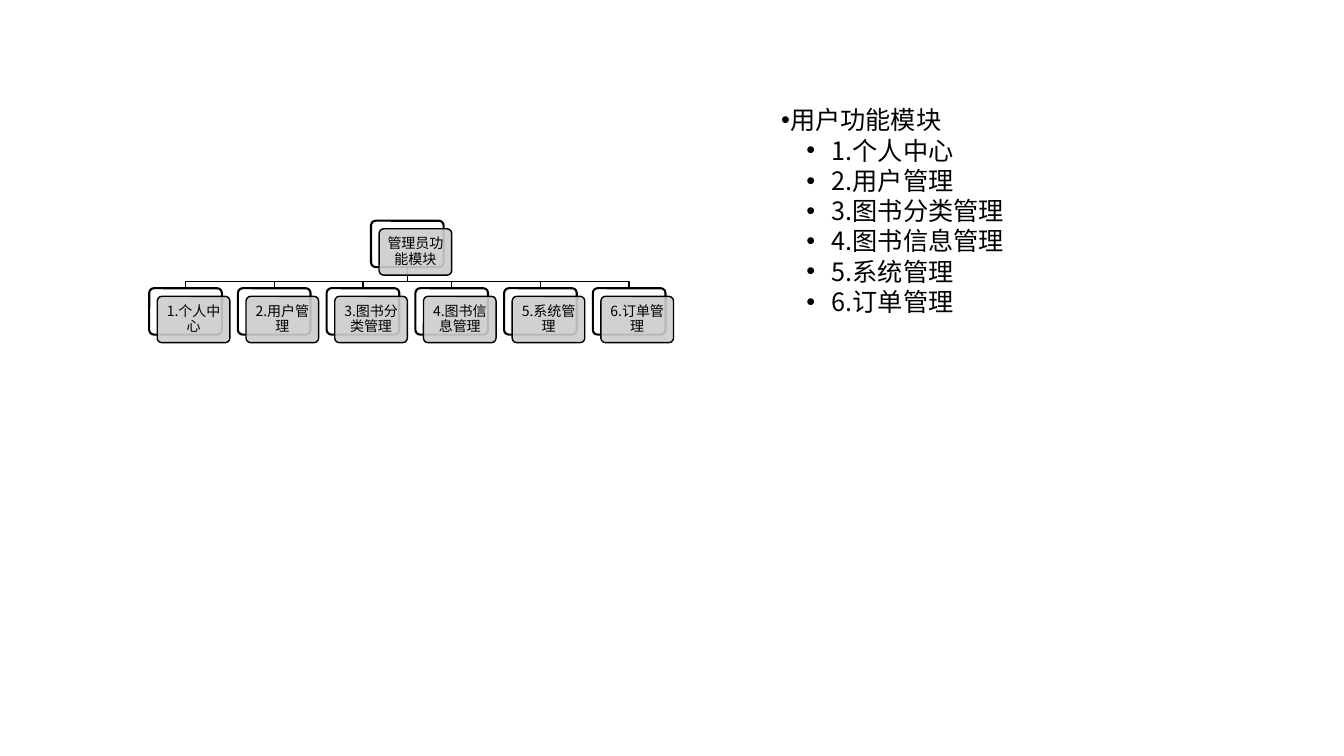
"""Build a slide with the administrator module chart and the user module list."""
import pptx
import pptx.dml.color
import pptx.enum.shapes
import pptx.enum.text
import pptx.oxml
import pptx.oxml.ns
import pptx.util

CHART_TITLE = "管理员功能模块"
LIST_TITLE = "用户功能模块"
MODULES = ["1.个人中心", "2.用户管理", "3.图书分类管理",
           "4.图书信息管理", "5.系统管理", "6.订单管理"]

FONT = "Noto Sans CJK SC"
BLACK = pptx.dml.color.RGBColor(0, 0, 0)
WHITE = pptx.dml.color.RGBColor(255, 255, 255)
GRAY = pptx.dml.color.RGBColor(204, 204, 204)

SCALE = 9144
SLIDE_SIZE = (1333, 750)
CARD_WIDTH, CARD_HEIGHT, CARD_OFFSET = 72, 46, 8
ROOT_LEFT, ROOT_TOP = 368, 219
ROW_LEFT, ROW_TOP, ROW_STEP = 148, 286, 88
BRANCH_TOP = 279
LIST_BOX = (765, 99, 518, 423)
LIST_INDENT, BULLET_HANG = 50, 25
CARD_MARGIN = 5


def px(length):
    return pptx.util.Emu(length * SCALE)


def add_xml(parent, tag, **attributes):
    element = pptx.oxml.parse_xml(f"<a:{tag} {pptx.oxml.ns.nsdecls('a')}/>")
    for name, value in attributes.items():
        element.set(name, str(value))
    parent.append(element)


def write(para, text, size):
    span = para.add_run()
    span.text = text
    formats = {"size": pptx.util.Pt(size), "name": FONT}
    for name, value in formats.items():
        setattr(span.font, name, value)
    span.font.color.rgb = BLACK
    add_xml(span.font._element, "ea", typeface=FONT)


def set_line(shape, width):
    shape.shadow.inherit = False
    shape.line.color.rgb = BLACK
    shape.line.width = pptx.util.Pt(width)


def add_panel(page, left, top, color, line_width):
    panel = page.shapes.add_shape(
        pptx.enum.shapes.MSO_SHAPE.ROUNDED_RECTANGLE,
        px(left), px(top), px(CARD_WIDTH), px(CARD_HEIGHT))
    panel.adjustments[0] = 0.1
    panel.fill.solid()
    panel.fill.fore_color.rgb = color
    set_line(panel, line_width)
    return panel


def add_card(page, left, top, text):
    add_panel(page, left, top, WHITE, 1.5)
    front = add_panel(page, left + CARD_OFFSET, top + CARD_OFFSET, GRAY, 1)
    tint = front.fill._xPr.find(".//" + pptx.oxml.ns.qn("a:srgbClr"))
    add_xml(tint, "alpha", val=90000)
    frame = front.text_frame
    formats = {"word_wrap": True,
               "vertical_anchor": pptx.enum.text.MSO_ANCHOR.MIDDLE}
    formats.update((f"margin_{side}", px(CARD_MARGIN))
                   for side in ("left", "top", "right", "bottom"))
    for name, value in formats.items():
        setattr(frame, name, value)
    para = frame.paragraphs[0]
    para.alignment = pptx.enum.text.PP_ALIGN.CENTER
    para.line_spacing = 0.9
    write(para, text, 10)


def add_branch(page, card_left):
    start = ROOT_LEFT + CARD_WIDTH // 2
    end = card_left + CARD_WIDTH // 2
    builder = page.shapes.build_freeform(start, ROOT_TOP + CARD_HEIGHT, scale=SCALE)
    builder.add_line_segments(
        [(start, BRANCH_TOP), (end, BRANCH_TOP), (end, ROW_TOP)], close=False)
    branch = builder.convert_to_shape()
    branch.fill.background()
    set_line(branch, 1)


def add_list(page):
    box = page.shapes.add_textbox(*map(px, LIST_BOX))
    frame = box.text_frame
    frame.word_wrap = True
    for index, text in enumerate([LIST_TITLE, *MODULES]):
        para = frame.add_paragraph() if index else frame.paragraphs[0]
        properties = para._p.get_or_add_pPr()
        if index:
            para.level = 1
            properties.set("marL", str(px(LIST_INDENT)))
            properties.set("indent", str(px(-BULLET_HANG)))
        add_xml(properties, "buFont", typeface="Arial")
        add_xml(properties, "buChar", char="•")
        write(para, text, 18)


def main():
    deck = pptx.Presentation()
    deck.slide_width, deck.slide_height = map(px, SLIDE_SIZE)
    page = deck.slides.add_slide(deck.slide_layouts[6])
    card_lefts = [ROW_LEFT + ROW_STEP * index for index in range(len(MODULES))]
    for left in card_lefts:
        add_branch(page, left)
    add_card(page, ROOT_LEFT, ROOT_TOP, CHART_TITLE)
    for left, module in zip(card_lefts, MODULES):
        add_card(page, left, ROW_TOP, module)
    add_list(page)
    deck.save("out.pptx")


if __name__ == "__main__":
    main()
